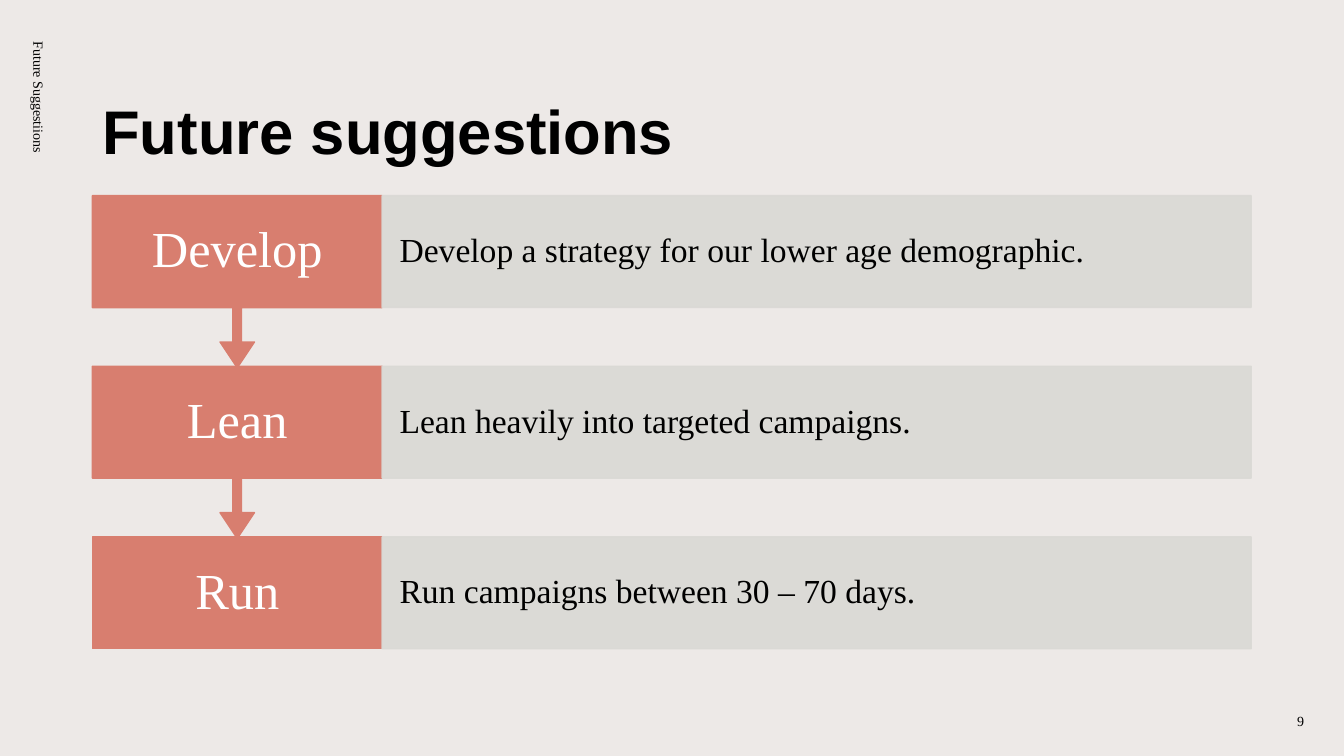
from lxml.etree import SubElement
from pptx import Presentation
from pptx.dml.color import RGBColor
from pptx.enum.shapes import MSO_SHAPE as Shape
from pptx.enum.text import MSO_ANCHOR as Anchor, PP_ALIGN as Align
from pptx.oxml.ns import qn
from pptx.util import Cm, Pt

SERIF = "Times New Roman"
CORAL, STONE, BLACK, WHITE = "D87E6F", "DAD9D5", "000000", "FFFFFF"


def paint(shape, color, alpha=100):
    shape.shadow.inherit = False
    for fill in (shape.fill, shape.line.fill):
        fill.solid()
        fill.fore_color.rgb = RGBColor.from_string(color)
    shape.line.width = Pt(1)
    if alpha < 100:
        for tint in shape._element.spPr.iter(qn("a:srgbClr")):
            SubElement(tint, qn("a:alpha"), val=str(alpha * 1000))


def write(shape, text, size, color=BLACK, font=SERIF, bold=False,
          align=Align.LEFT, anchor=Anchor.MIDDLE, inset=(0.25, 0.13),
          spacing=0.9, after=0):
    frame = shape.text_frame
    frame.word_wrap = True
    frame.vertical_anchor = anchor
    frame.margin_left = frame.margin_right = Cm(inset[0])
    frame.margin_top = frame.margin_bottom = Cm(inset[1])
    paragraph = frame.paragraphs[0]
    paragraph.alignment = align
    paragraph.line_spacing = spacing
    paragraph.space_after = Pt(after)
    run = paragraph.add_run()
    run.text = text
    run.font.name = font
    run.font.size = Pt(size)
    run.font.bold = bold
    run.font.color.rgb = RGBColor.from_string(color)


deck = Presentation()
deck.slide_width, deck.slide_height = Cm(33.87), Cm(19.05)
slide = deck.slides.add_slide(deck.slide_layouts[5])
slide.background.fill.solid()
slide.background.fill.fore_color.rgb = RGBColor.from_string("EDE9E7")

title = slide.shapes.title
title.left, title.top, title.width, title.height = Cm(2.33), Cm(1.27), Cm(29.21), Cm(3.1)
write(title, "Future suggestions", 44, font="Arial", bold=True, anchor=Anchor.BOTTOM)

steps = [
    ("Develop", "Develop a strategy for our lower age demographic."),
    ("Lean", "Lean heavily into targeted campaigns."),
    ("Run", "Run campaigns between 30 – 70 days."),
]
left, first_top, pitch = 2.33, 4.93, 4.3
label_width, detail_width = 7.3, 21.9
row_height, arrow_height = 2.82, 4.34
last = len(steps) - 1

for index, (verb, advice) in reversed(list(enumerate(steps))):
    top = first_top + index * pitch
    outline, height = ((Shape.RECTANGLE, row_height) if index == last
                       else (Shape.DOWN_ARROW_CALLOUT, arrow_height))
    label = slide.shapes.add_shape(outline, Cm(left), Cm(top), Cm(label_width), Cm(height))
    if index < last:
        for position, ratio in enumerate((0.05, 0.1, 0.15, 0.65)):
            label.adjustments[position] = ratio
    paint(label, CORAL)
    write(label, verb, 36, WHITE, align=Align.CENTER, inset=(0.52, 0.71))

    detail = slide.shapes.add_shape(Shape.RECTANGLE, Cm(left + label_width), Cm(top),
                                    Cm(detail_width), Cm(row_height))
    paint(detail, STONE, alpha=90)
    write(detail, advice, 24, inset=(0.44, 0.84))

footer = slide.shapes.add_textbox(Cm(-3.15), Cm(4.42), Cm(8.26), Cm(1.02))
footer.rotation = 90
write(footer, "Future Suggestiions", 10, spacing=1.0, after=6)

page_number = slide.shapes.add_textbox(Cm(31.98), Cm(17.65), Cm(1.6), Cm(1.02))
write(page_number, "9", 10, align=Align.CENTER, spacing=1.0, after=6)

deck.save("out.pptx")
